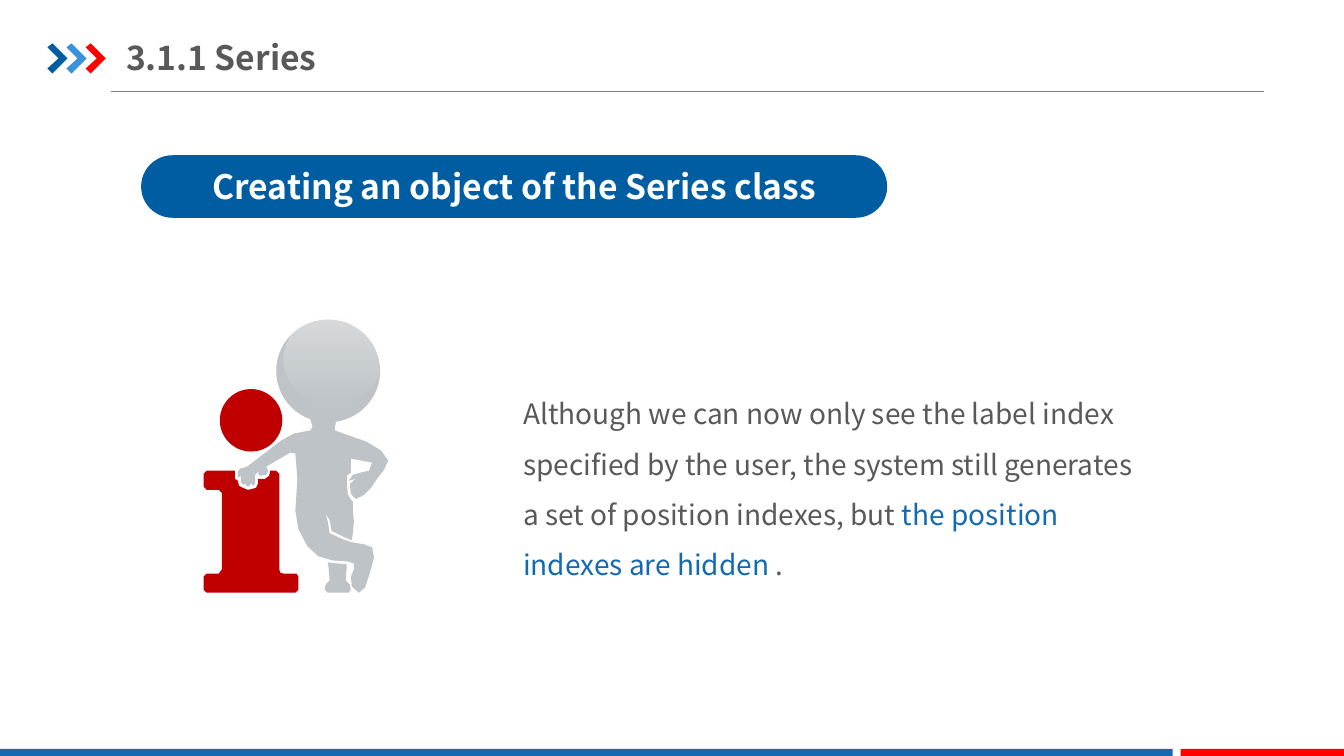
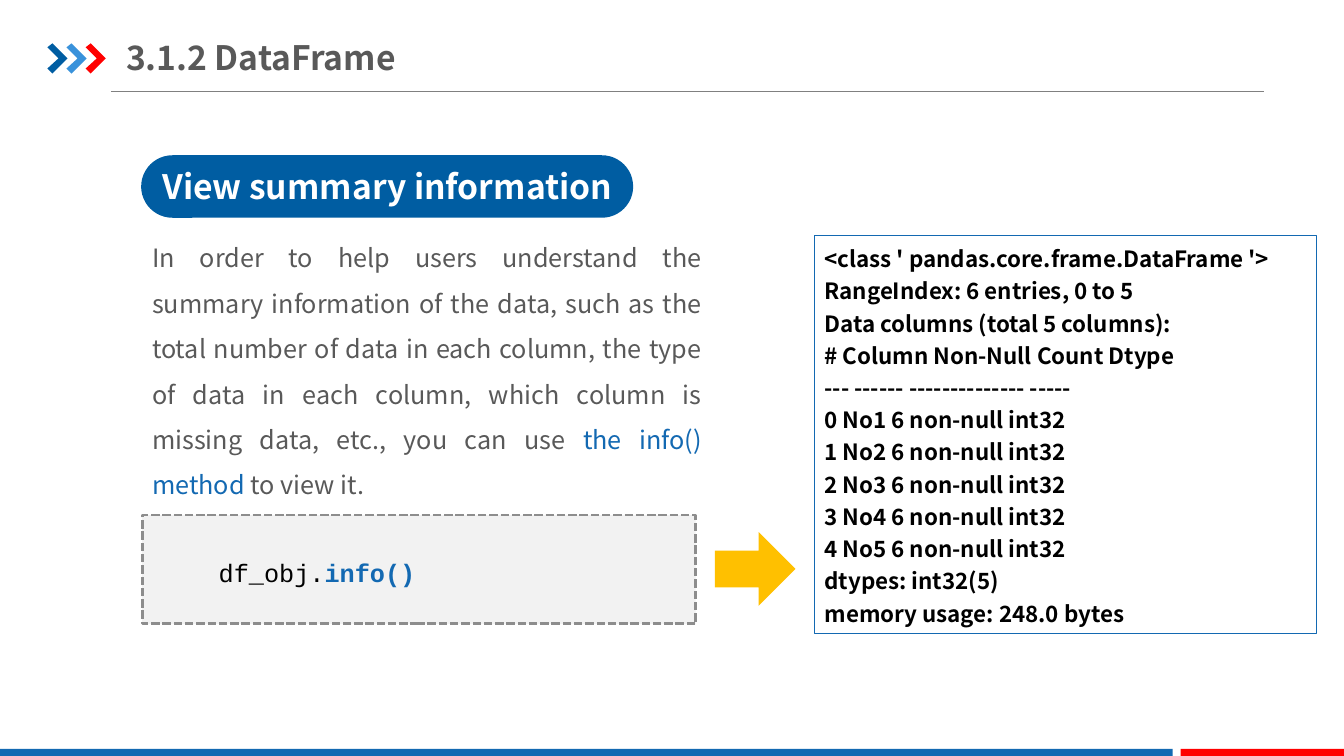
from dataclasses import dataclass

from lxml import etree
from pptx import Presentation
from pptx.dml.color import RGBColor
from pptx.enum.dml import MSO_LINE
from pptx.enum.shapes import MSO_CONNECTOR, MSO_SHAPE
from pptx.enum.text import MSO_ANCHOR, PP_ALIGN
from pptx.oxml.ns import qn
from pptx.util import Inches, Pt

RECT, PILL, OVAL = MSO_SHAPE.RECTANGLE, MSO_SHAPE.ROUNDED_RECTANGLE, MSO_SHAPE.OVAL
ARROW, STRAIGHT = MSO_SHAPE.RIGHT_ARROW, MSO_CONNECTOR.STRAIGHT
TOP, MIDDLE = MSO_ANCHOR.TOP, MSO_ANCHOR.MIDDLE
LEFT, CENTER, JUSTIFY = PP_ALIGN.LEFT, PP_ALIGN.CENTER, PP_ALIGN.JUSTIFY
DASH = MSO_LINE.SQUARE_DOT


@dataclass
class Theme:
    font: str = "Noto Sans CJK SC"
    code_font: str = "Courier New"
    navy: str = "005DA2"
    blue: str = "1369B2"
    sky: str = "3992DB"
    red: str = "FF0000"
    dark_red: str = "C00000"
    amber: str = "FFC000"
    text: str = "595959"
    black: str = "000000"
    white: str = "FFFFFF"
    rule: str = "808080"
    figure: str = "BDC3C7"
    panel: str = "F2F2F2"
    panel_line: str = "8D8D8D"
    title: int = 24
    body: int = 20
    small: int = 18
    output: int = 16


T = Theme()


def draw(s, kind, at, fill=None):
    """Add a preset shape in a box, or an outline through points if kind is None."""
    if kind is None:
        points = [(Inches(x), Inches(y)) for x, y in at]
        builder = s.shapes.build_freeform(*points[0])
        builder.add_line_segments(points[1:], close=True)
        sp = builder.convert_to_shape()
    else:
        sp = s.shapes.add_shape(kind, *map(Inches, at))
    sp.shadow.inherit = False
    sp.line.fill.background()
    if fill:
        sp.fill.solid()
        sp.fill.fore_color.rgb = RGBColor.from_string(fill)
    else:
        sp.fill.background()
    return sp


def write(sp, paragraphs, size, align=LEFT, anchor=TOP, spacing=1.0, font=T.font):
    """Fill a shape with paragraphs, each a list of (text, colour, bold) runs."""
    tf = sp.text_frame
    tf.word_wrap = True
    tf.vertical_anchor = anchor
    for i, runs in enumerate(paragraphs):
        p = tf.add_paragraph() if i else tf.paragraphs[0]
        p.alignment = align
        p.line_spacing = spacing
        for text, color, bold in runs:
            r = p.add_run()
            r.text = text
            r.font.name = font
            r.font.size = Pt(size)
            r.font.bold = bold
            r.font.color.rgb = RGBColor.from_string(color)
    return tf


prs = Presentation()
prs.slide_width, prs.slide_height = Inches(13.33), Inches(7.5)

# Shared frame: chevrons, title, rule, footer bands and heading pill
CHEVRON = [(0, 0.04), (0.05, 0), (0.2, 0.15), (0.05, 0.3), (0, 0.25), (0.11, 0.15)]
headings = [
    ("3.1.1 Series", "Creating an object of the Series class", 7.4),
    ("3.1.2 DataFrame", "View summary information", 4.88),
]
slides = []
for title, heading, pill_width in headings:
    s = prs.slides.add_slide(prs.slide_layouts[6])
    slides.append(s)

    line = s.shapes.add_connector(
        STRAIGHT, Inches(1.1), Inches(0.91), Inches(12.54), Inches(0.91))
    line.line.color.rgb = RGBColor.from_string(T.rule)
    line.line.width = Pt(0.75)
    etree.SubElement(line._element.spPr, qn("a:effectLst"))

    for i, color in enumerate((T.navy, T.sky, T.red)):
        draw(s, None, [(0.47 + 0.19 * i + x, 0.43 + y) for x, y in CHEVRON], color)

    draw(s, RECT, (0, 7.43, 11.63, 0.09), T.blue)
    draw(s, RECT, (11.71, 7.43, 1.63, 0.09), T.red)

    sp = s.shapes.add_textbox(Inches(1.25), Inches(0.29), Inches(4.55), Inches(0.55))
    tf = write(sp, [[(title, T.text, True)]], T.title, anchor=MIDDLE)
    tf.margin_left = tf.margin_right = 0

    sp = draw(s, PILL, (1.4, 1.54, pill_width, 0.62), T.navy)
    sp.adjustments[0] = 0.5
    write(sp, [[(heading, T.white, True)]], T.title, CENTER, MIDDLE)

series, frame = slides

# Series: explanation
sp = series.shapes.add_textbox(Inches(5.09), Inches(3.72), Inches(6.28), Inches(1.62))
write(sp, [[
    ("Although we can now only see the label index specified by the user, the system "
     "still generates a set of position indexes, but ", T.text, False),
    ("the position indexes are hidden ", T.blue, False),
    (".", T.text, False),
]], T.body, spacing=1.5)

# Series: figure leaning on a letter i
BACK_FOOT = [
    (3.25, 5.58), (3.44, 5.6), (3.43, 5.76), (3.47, 5.8), (3.48, 5.85), (3.46, 5.88),
    (3.35, 5.88), (3.25, 5.88), (3.22, 5.85), (3.23, 5.8), (3.27, 5.76), (3.26, 5.63),
]
BODY = [
    # Bent arm, neck and shoulder
    (3.47, 4.8), (3.48, 4.9), (3.53, 4.95), (3.61, 4.91), (3.68, 4.84), (3.74, 4.75),
    (3.81, 4.66), (3.85, 4.57), (3.78, 4.47), (3.63, 4.38), (3.46, 4.32), (3.32, 4.27),
    (3.33, 4.19), (3.33, 4.1), (3.08, 4.1), (3.08, 4.17), (3.1, 4.23), (3.08, 4.27),
    (2.92, 4.3), (2.79, 4.37),
    # Hand
    (2.45, 4.63), (2.38, 4.65), (2.36, 4.68), (2.36, 4.74), (2.39, 4.72), (2.39, 4.79),
    (2.42, 4.81), (2.44, 4.79), (2.44, 4.81), (2.46, 4.83), (2.48, 4.81), (2.49, 4.79),
    (2.51, 4.82), (2.53, 4.8), (2.53, 4.71), (2.57, 4.67), (2.56, 4.7), (2.58, 4.72),
    (2.64, 4.71), (2.66, 4.67), (2.64, 4.63),
    # Side and front leg
    (2.81, 4.53), (2.88, 4.49), (2.93, 4.5), (2.95, 4.75), (2.93, 5.07), (2.96, 5.25),
    (3.05, 5.42), (3.16, 5.52), (3.3, 5.56), (3.45, 5.57), (3.51, 5.59), (3.51, 5.65),
    (3.48, 5.72), (3.49, 5.82), (3.56, 5.88), (3.62, 5.83), (3.67, 5.68), (3.71, 5.53),
    (3.69, 5.43), (3.61, 5.4), (3.49, 5.38), (3.4, 5.35), (3.27, 5.29), (3.25, 5.17),
    (3.23, 5.1), (3.27, 5.16), (3.29, 5.27), (3.42, 5.33), (3.49, 5.36), (3.5, 5.29),
    # Hip and hand on the hip
    (3.51, 5.17), (3.5, 5.06), (3.5, 4.97), (3.48, 4.96), (3.45, 4.9), (3.44, 4.79),
    (3.44, 4.72), (3.48, 4.69), (3.48, 4.55), (3.69, 4.59), (3.66, 4.67), (3.57, 4.69),
    (3.5, 4.71), (3.46, 4.77), (3.5, 4.76), (3.54, 4.74),
]
LETTER_I = [
    # Right side, from the base to the notch for the hand
    (2.94, 5.69), (2.81, 5.69), (2.78, 5.68), (2.77, 5.65), (2.77, 4.7), (2.74, 4.67),
    (2.68, 4.67), (2.67, 4.72), (2.63, 4.75), (2.56, 4.75), (2.56, 4.8), (2.54, 4.84),
    (2.5, 4.85), (2.46, 4.86), (2.41, 4.84), (2.37, 4.82), (2.36, 4.77), (2.33, 4.75),
    (2.33, 4.67),
    # Left side and base
    (2.05, 4.67), (2.02, 4.7), (2.02, 4.83), (2.05, 4.86), (2.17, 4.86), (2.2, 4.89),
    (2.2, 5.65), (2.17, 5.69), (2.05, 5.69), (2.02, 5.72), (2.02, 5.85), (2.05, 5.88),
    (2.93, 5.88), (2.96, 5.85), (2.96, 5.72),
]
draw(series, None, BACK_FOOT, T.figure)
draw(series, None, BODY, T.figure)
draw(series, OVAL, (2.74, 3.17, 1.03, 1.02), T.figure)
draw(series, None, LETTER_I, T.dark_red)
draw(series, OVAL, (2.18, 3.86, 0.62, 0.62), T.dark_red)

# Series: highlight on the head, fading downwards
sp = draw(series, OVAL, (2.81, 3.12, 0.97, 0.88))
sp.fill.gradient()
sp.fill.gradient_angle = 270
for stop, alpha in zip(sp.fill.gradient_stops, (42000, 0)):
    stop.color.rgb = RGBColor.from_string(T.white)
for color, alpha in zip(sp._element.spPr.iter(qn("a:srgbClr")), (42000, 0)):
    etree.SubElement(color, qn("a:alpha"), val=str(alpha))

# DataFrame: explanation
sp = frame.shapes.add_textbox(Inches(1.41), Inches(2.21), Inches(5.65), Inches(2.77))
write(sp, [[
    ("In order to help users understand the summary information of the data, such as "
     "the total number of data in each column, the type of data in each column, which "
     "column is missing data, etc., you can use ", T.text, False),
    ("the info() method ", T.blue, False),
    ("to view it.", T.text, False),
]], T.small, JUSTIFY, spacing=1.5)

# DataFrame: code panel
sp = draw(frame, RECT, (1.41, 5.11, 5.49, 1.08), T.panel)
sp.line.color.rgb = RGBColor.from_string(T.panel_line)
sp.line.width = Pt(2)
sp.line.dash_style = DASH
sp = frame.shapes.add_textbox(Inches(1.78), Inches(5.43), Inches(5.12), Inches(0.45))
tf = write(sp, [[("df_obj.", T.black, False), ("info()", T.blue, True)]],
           T.small, spacing=1.15, font=T.code_font)
tf.paragraphs[0]._p.get_or_add_pPr().set("indent", str(Inches(0.29)))

# DataFrame: arrow to the printed output
draw(frame, ARROW, (7.09, 5.28, 0.8, 0.73), T.amber)
OUTPUT = [
    "<class ' pandas.core.frame.DataFrame '>",
    "RangeIndex: 6 entries, 0 to 5",
    "Data columns (total 5 columns):",
    "# Column Non-Null Count Dtype",
    "--- ------ -------------- -----",
    *[f"{i} No{i + 1} 6 non-null int32" for i in range(5)],
    "dtypes: int32(5)",
    "memory usage: 248.0 bytes",
]
sp = draw(frame, RECT, (8.08, 2.33, 4.97, 3.95))
sp.line.color.rgb = RGBColor.from_string(T.blue)
sp.line.width = Pt(0.25)
write(sp, [[(text, T.black, True)] for text in OUTPUT], T.output, spacing=1.2)

prs.save("out.pptx")
